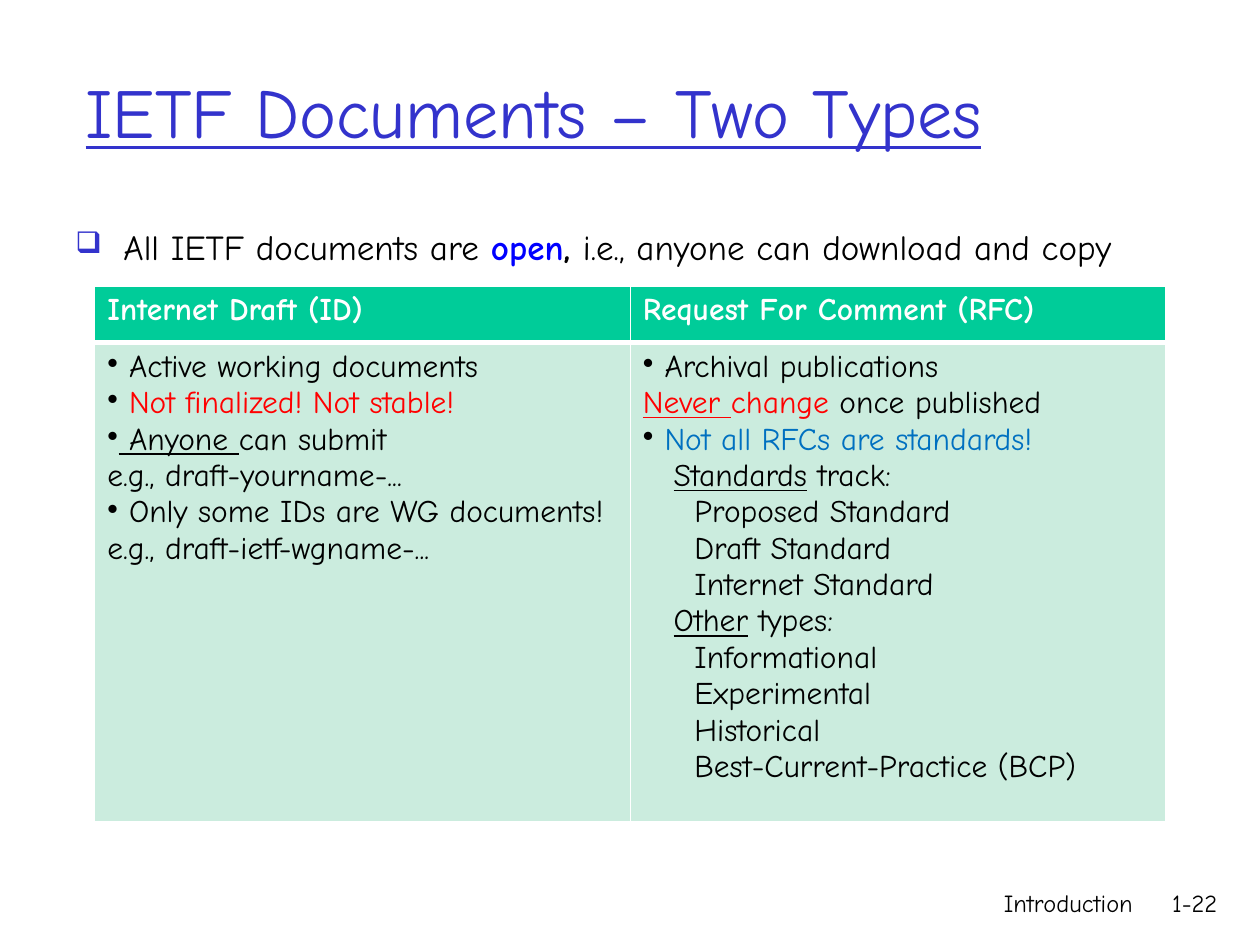
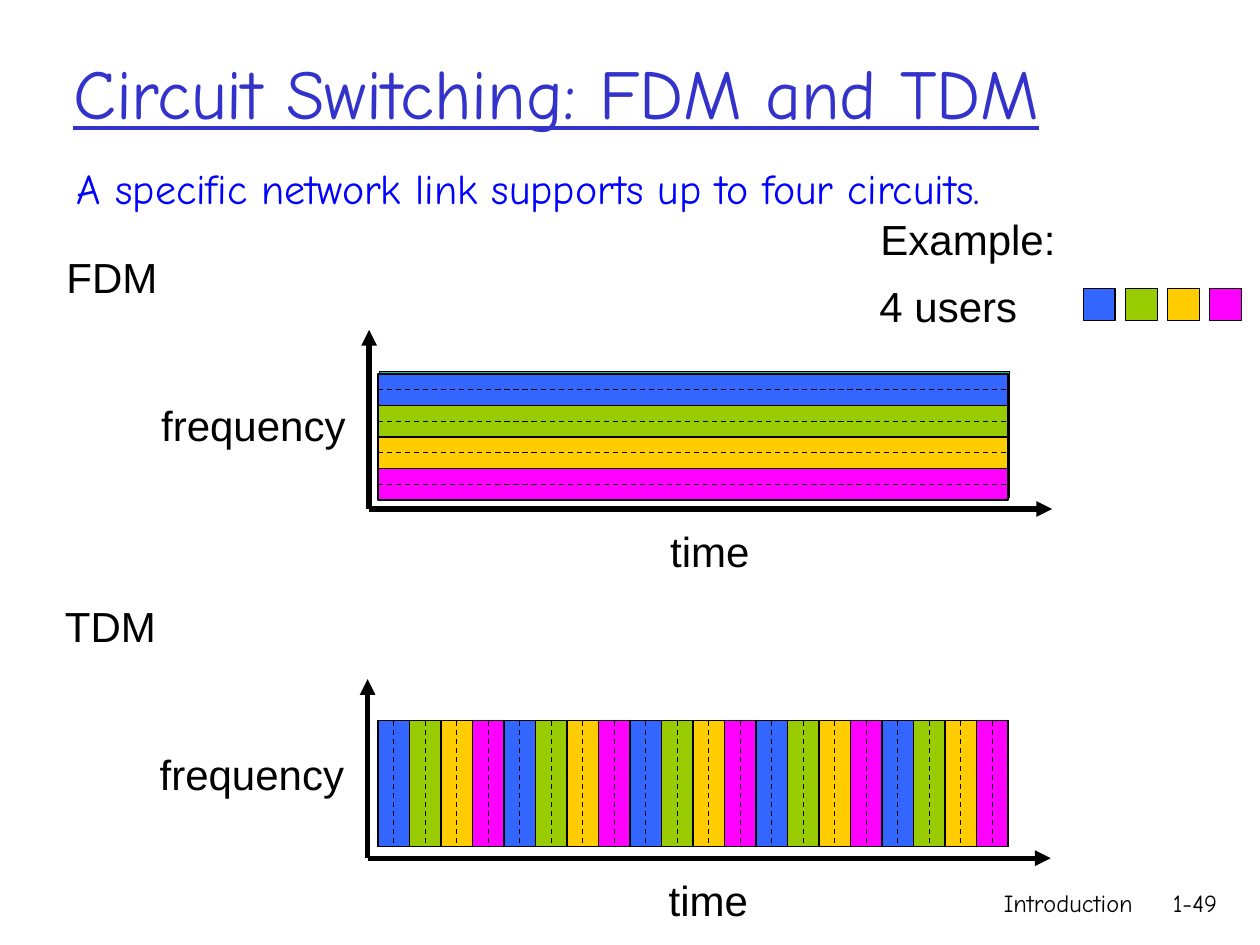
"""Build two slides on network standards and on circuit switching."""
from dataclasses import dataclass

from lxml.etree import SubElement
from pptx import Presentation
from pptx.dml.color import RGBColor
from pptx.enum.dml import MSO_LINE
from pptx.enum.shapes import MSO_CONNECTOR, MSO_SHAPE
from pptx.enum.text import MSO_ANCHOR, MSO_AUTO_SIZE, PP_ALIGN
from pptx.oxml.ns import qn
from pptx.util import Cm, Pt


@dataclass(frozen=True)
class Theme:
    face: str = "Comic Neue"
    plain: str = "Arial"
    ink: str = "000000"
    white: str = "FFFFFF"
    title: str = "3333CC"
    blue: str = "0000FF"
    red: str = "FF0000"
    note: str = "0070C0"
    head: str = "00CC99"
    cell: str = "CBECDE"
    users: tuple = ("3366FF", "99CC00", "FFCC00", "FF00FF")
    big: int = 40
    label: int = 24
    body: int = 20
    small: int = 18
    foot: int = 14
    thin: float = 0.75
    thick: int = 3


THEME = Theme()


def write(para, text, size=THEME.label, color=THEME.ink, face=THEME.face,
          bold=False, under=False):
    run = para.add_run()
    run.text = text
    font = run.font
    font.size, font.name = Pt(size), face
    font.bold, font.underline = bold, under
    font.color.rgb = RGBColor.from_string(color)


def indent(para, left, first=0):
    props = para._p.get_or_add_pPr()
    props.set("marL", str(Cm(left)))
    props.set("indent", str(Cm(first)))
    return props


def bullet(para, mark, left=0, color=None, scale=None):
    props = indent(para, left, -left)
    if color:
        SubElement(SubElement(props, qn("a:buClr")), qn("a:srgbClr"), val=color)
    if scale:
        SubElement(props, qn("a:buSzPct"), val=str(scale * 1000))
    SubElement(props, qn("a:buChar"), char=mark)


def edge(cell, side, width):
    props = cell._tc.get_or_add_tcPr()
    line = SubElement(props, qn("a:ln" + side), w=str(Pt(width)))
    fill = SubElement(line, qn("a:solidFill"))
    SubElement(fill, qn("a:srgbClr"), val=THEME.white)


class Deck:
    def __init__(self, theme):
        self.theme = theme
        self.show = Presentation()
        self.show.slide_width, self.show.slide_height = Cm(25.4), Cm(19.05)
        self.slide = None

    def page(self, title, box, number):
        self.slide = self.show.slides.add_slide(self.show.slide_layouts[5])
        shape = self.slide.shapes.title
        shape.left, shape.top, shape.width, shape.height = map(Cm, box)
        frame = shape.text_frame
        frame.word_wrap, frame.auto_size = True, MSO_AUTO_SIZE.NONE
        frame.vertical_anchor = MSO_ANCHOR.MIDDLE
        para = frame.paragraphs[0]
        para.alignment = PP_ALIGN.LEFT
        write(para, title, size=self.theme.big, color=self.theme.title, under=True)
        for text, left, width in (("Introduction", 15.04, 8.05), (number, 23.06, 1.73)):
            para = self.text((left, 17.78, width, 1.27), text, size=self.theme.foot)
            para.alignment = PP_ALIGN.RIGHT

    def text(self, box, text="", wrap=True, **style):
        frame = self.slide.shapes.add_textbox(*map(Cm, box)).text_frame
        frame.word_wrap = wrap
        para = frame.paragraphs[0]
        if text:
            write(para, text, **style)
        return para

    def label(self, box, text):
        self.text(box, text, wrap=False, face=self.theme.plain)

    def rect(self, box, color):
        shape = self.slide.shapes.add_shape(MSO_SHAPE.RECTANGLE, *map(Cm, box))
        shape.shadow.inherit = False
        shape.fill.solid()
        shape.fill.fore_color.rgb = RGBColor.from_string(color)
        shape.line.color.rgb = RGBColor.from_string(self.theme.ink)
        shape.line.width = Pt(self.theme.thin)
        return shape

    def line(self, start, end, width=THEME.thin, dash=False, arrow=False):
        link = self.slide.shapes.add_connector(
            MSO_CONNECTOR.STRAIGHT, *map(Cm, (*start, *end)))
        link.line.color.rgb = RGBColor.from_string(self.theme.ink)
        link.line.width = Pt(width)
        if dash:
            link.line.dash_style = MSO_LINE.DASH
        if arrow:
            SubElement(link.line._get_or_add_ln(), qn("a:tailEnd"), type="triangle")
        SubElement(link._element.spPr, qn("a:effectLst"))
        return link

    def table(self, box, heights, rows):
        grid = self.slide.shapes.add_table(
            len(rows), len(rows[0]), *map(Cm, box)).table
        for r, (height, row) in enumerate(zip(heights, rows)):
            grid.rows[r].height = Cm(height)
            for c, lines in enumerate(row):
                self.cell(grid.cell(r, c), lines, r == 0)

    def cell(self, cell, lines, head):
        theme = self.theme
        sides = {"L": 1, "R": 1, "T": 1 if head else 3, "B": 3 if head else 1}
        for side, width in sides.items():
            edge(cell, side, width)
        cell.fill.solid()
        cell.fill.fore_color.rgb = RGBColor.from_string(
            theme.head if head else theme.cell)
        base = {"size": theme.small, "bold": head,
                "color": theme.white if head else theme.ink}
        frame = cell.text_frame
        for i, (kind, *runs) in enumerate(lines):
            para = frame.add_paragraph() if i else frame.paragraphs[0]
            if kind == DOT:
                bullet(para, "•")
            elif kind:
                indent(para, kind)
            for run in runs:
                text, style = (run, {}) if isinstance(run, str) else run
                write(para, text, **{**base, **style})

    def plot(self, name, dx, dy):
        for text, left, top, width in (
                (name, 1.09, 4.95, 2.34), ("frequency", 3, 7.92, 4.24),
                ("time", 13.26, 10.46, 2.11)):
            self.label((left + dx, top + dy, width, 1.27), text)
        start = (7.44 + dx, 10.26 + dy)
        for end in ((7.44 + dx, 6.65 + dy), (21.21 + dx, 10.26 + dy)):
            self.line(start, end, width=self.theme.thick, arrow=True)
        self.rect((7.65 + dx, 7.49 + dy, 12.7, 2.54), self.theme.head)

    def bands(self, left, top, count, across):
        wide, high = 12.7, 2.54
        step = (high if across else wide) / count
        shapes = []
        for i in range(count):
            box = ((left, top + i * step, wide, step) if across
                   else (left + i * step, top, step, high))
            shapes.append(self.rect(box, self.theme.users[i % 4]))
        for i in range(1, count):
            if across:
                self.line((left, top + i * step), (left + wide, top + i * step))
            else:
                self.line((left + i * step, top), (left + i * step, top + high))
        for shape in shapes:
            link = self.line((left, top), (left, top), dash=True)
            link.begin_connect(shape, 1 if across else 0)
            link.end_connect(shape, 3 if across else 2)


DOT, FLUSH, SUB, DEEP = "dot", 0, 0.62, 1.04
UNDER = {"under": True}
RED = {"color": THEME.red}
HEADS = [[(FLUSH, "Internet Draft (ID)")], [(FLUSH, "Request For Comment (RFC)")]]
DRAFT = [
    (DOT, " Active working documents"),
    (DOT, " ", ("Not finalized! Not stable!", RED)),
    (DOT, (" Anyone ", UNDER), "can submit"),
    (FLUSH, "e.g., draft-yourname-..."),
    (DOT, " Only some IDs are WG documents!"),
    (FLUSH, "e.g., draft-ietf-wgname-..."),
]
FINAL = [
    (DOT, " Archival publications"),
    (FLUSH, ("Never ", RED | UNDER), ("change ", RED), "once published"),
    (DOT, " ", ("Not all RFCs are standards!", {"color": THEME.note})),
    (SUB, ("Standards", UNDER), " track:"),
    *((DEEP, f"{stage} Standard") for stage in ("Proposed", "Draft", "Internet")),
    (SUB, ("Other", UNDER), " types:"),
    *((DEEP, kind) for kind in ("Informational", "Experimental", "Historical",
                                "Best-Current-Practice (BCP)")),
]


def papers(deck):
    deck.page("IETF Documents – Two Types", (1.47, 0.64, 21.59, 3.18), "1-22")
    para = deck.text((1.27, 4.42, 22.86, 1.35))
    bullet(para, "❑", left=0.97, color=THEME.title, scale=85)
    size = THEME.body
    write(para, "All IETF documents are ", size=size)
    write(para, "open", size=size, color=THEME.blue, bold=True)
    write(para, ", ", size=size, bold=True)
    write(para, "i.e., anyone can download and copy", size=size)
    deck.table((1.91, 5.77, 21.59, 10.8), (1.14, 9.65), [HEADS, [DRAFT, FINAL]])


def circuits(deck):
    deck.page("Circuit Switching: FDM and TDM", (1.22, 0.64, 23.52, 2.41), "1-49")
    deck.plot("FDM", 0, 0)
    deck.bands(7.62, 7.54, 4, across=True)
    deck.plot("TDM", -0.03, 7.04)
    deck.bands(7.62, 14.53, 20, across=False)
    deck.label((17.48, 5.54, 3.3, 1.27), "4 users")
    for i, color in enumerate(THEME.users):
        deck.rect((21.84 + i * 0.85, 5.82, 0.64, 0.64), color)
    deck.label((17.5, 4.17, 4.04, 1.27), "Example:")
    deck.text((1.3, 3.15, 22.91, 1.27), color=THEME.blue,
              text="A specific network link supports up to four circuits.")


def main():
    deck = Deck(THEME)
    papers(deck)
    circuits(deck)
    deck.show.save("out.pptx")


if __name__ == "__main__":
    main()
